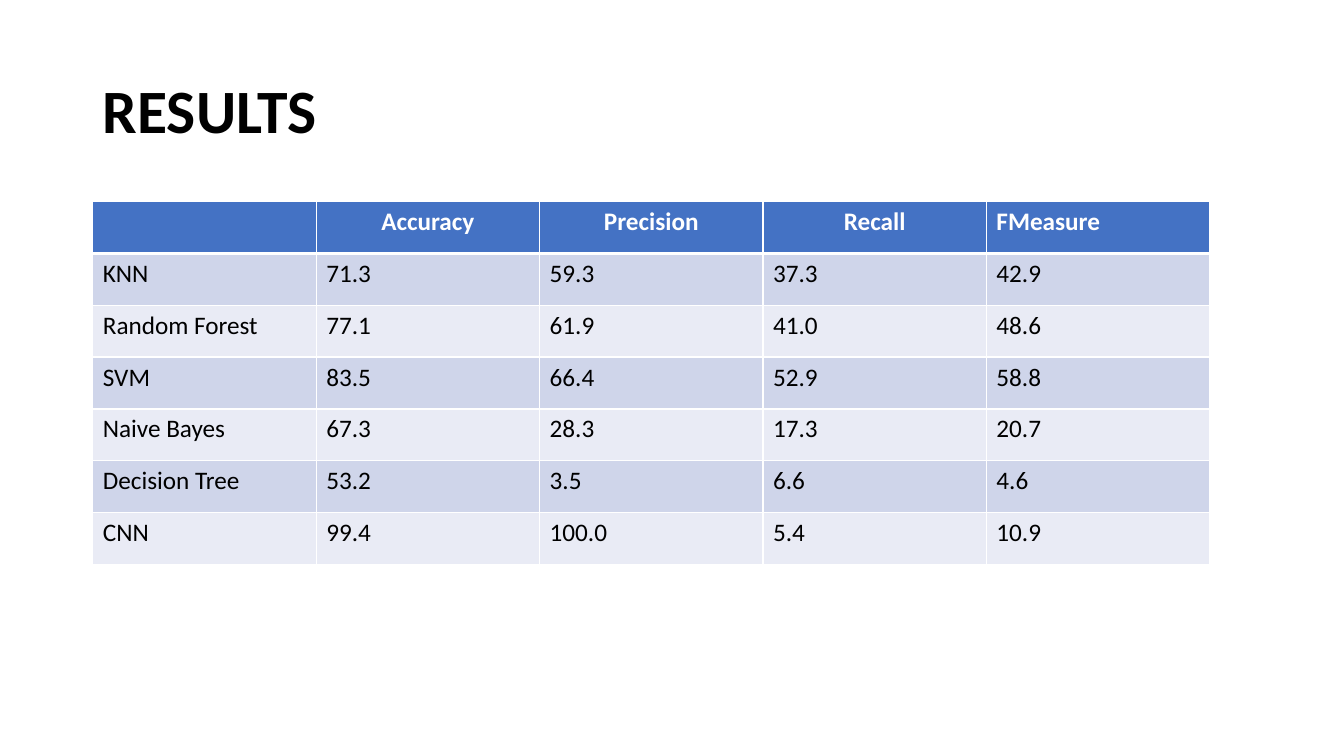
"""Build the classifier results slide."""
import lxml.etree
import pptx
import pptx.dml.color
import pptx.enum.text
import pptx.oxml.ns
import pptx.util

Inches = pptx.util.Inches
Pt = pptx.util.Pt
RGBColor = pptx.dml.color.RGBColor
ALIGN = pptx.enum.text.PP_ALIGN

BLACK = RGBColor(0x00, 0x00, 0x00)
WHITE = RGBColor(0xFF, 0xFF, 0xFF)
BLUE = RGBColor(0x44, 0x72, 0xC4)
BANDS = (RGBColor(0xCF, 0xD5, 0xEA), RGBColor(0xE9, 0xEB, 0xF5))

TITLE_FONT = {"name": "Calibri", "size": Pt(44), "bold": True}
HEADER_FONT = {"name": "Calibri", "size": Pt(18), "bold": True}
BODY_FONT = {"name": "Calibri", "size": Pt(18), "bold": False}

RESULTS = (
    ("", "Accuracy", "Precision", "Recall", "FMeasure"),
    ("KNN", "71.3", "59.3", "37.3", "42.9"),
    ("Random Forest", "77.1", "61.9", "41.0", "48.6"),
    ("SVM", "83.5", "66.4", "52.9", "58.8"),
    ("Naive Bayes", "67.3", "28.3", "17.3", "20.7"),
    ("Decision Tree", "53.2", "3.5", "6.6", "4.6"),
    ("CNN", "99.4", "100.0", "5.4", "10.9"),
)


def set_text(tf, text, font, color, align):
    p = tf.paragraphs[0]
    p.alignment = align
    if text:
        r = p.add_run()
        r.text = text
        for name, value in font.items():
            setattr(r.font, name, value)
        r.font.color.rgb = color


def set_borders(cell, widths):
    tc_pr = cell._tc.get_or_add_tcPr()
    qn = pptx.oxml.ns.qn
    for side, width in widths.items():
        ln = lxml.etree.SubElement(tc_pr, qn(f"a:ln{side}"), w=str(Pt(width)))
        fill = lxml.etree.SubElement(ln, qn("a:solidFill"))
        lxml.etree.SubElement(fill, qn("a:srgbClr"), val=str(WHITE))


def add_title(s, text):
    sp = s.shapes.title
    sp.left, sp.top = Inches(0.92), Inches(0.4)
    sp.width, sp.height = Inches(11.5), Inches(1.45)
    tf = sp.text_frame
    tf.vertical_anchor = pptx.enum.text.MSO_ANCHOR.MIDDLE
    set_text(tf, text, TITLE_FONT, BLACK, ALIGN.LEFT)
    tf.paragraphs[0].line_spacing = 0.9


def add_results_table(s, rows):
    table = s.shapes.add_table(
        len(rows), len(rows[0]), Inches(0.92), Inches(2), Inches(11.08), Inches(3.6)
    ).table
    for i, row in enumerate(rows):
        header = i == 0
        font, color = (HEADER_FONT, WHITE) if header else (BODY_FONT, BLACK)
        borders = {"L": 1, "R": 1, "T": 3 if i == 1 else 1, "B": 3 if header else 1}
        for j, text in enumerate(row):
            cell = table.cell(i, j)
            centred = header and j < len(row) - 1
            set_text(cell.text_frame, text, font, color,
                     ALIGN.CENTER if centred else ALIGN.LEFT)
            set_borders(cell, borders)
            cell.fill.solid()
            cell.fill.fore_color.rgb = BLUE if header else BANDS[(i - 1) % 2]


def main():
    prs = pptx.Presentation()
    prs.slide_width, prs.slide_height = Inches(13.33), Inches(7.5)
    s = prs.slides.add_slide(prs.slide_layouts.get_by_name("Title Only"))
    add_title(s, "RESULTS")
    add_results_table(s, RESULTS)
    prs.save("out.pptx")


if __name__ == "__main__":
    main()
